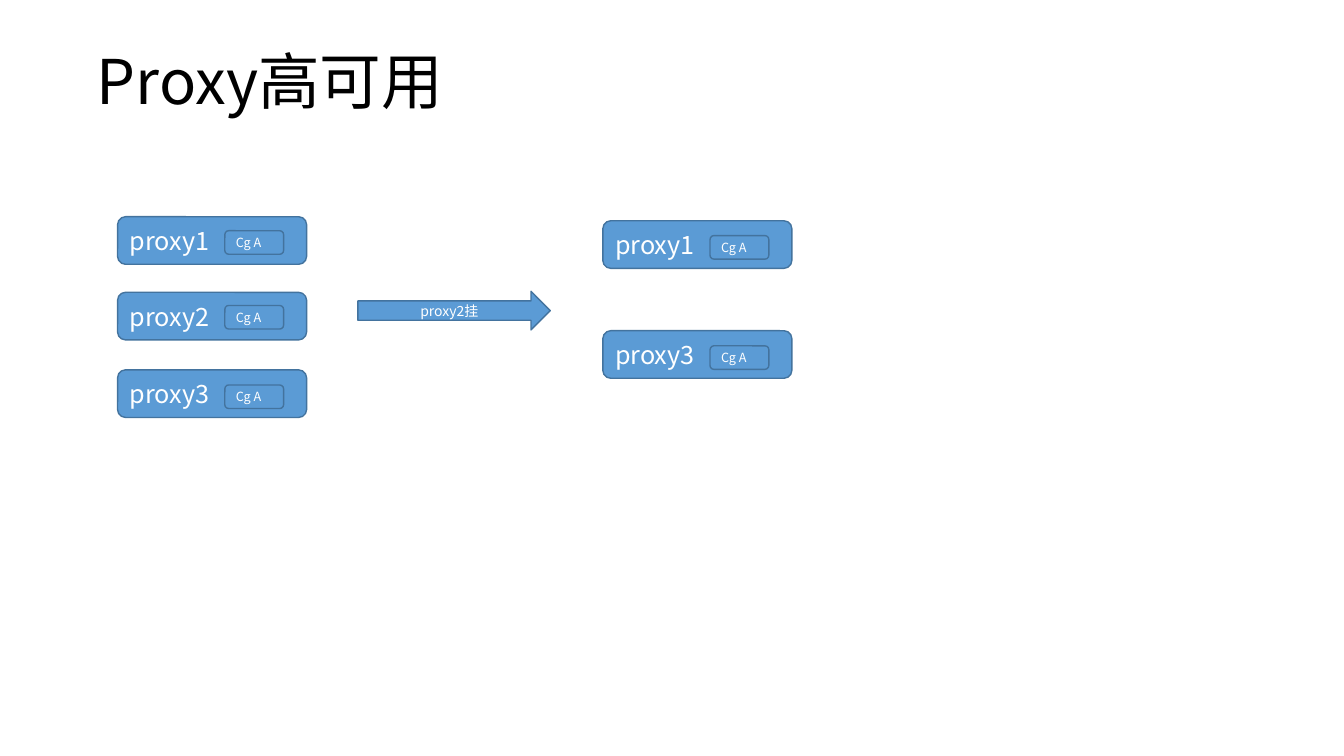
from lxml.etree import SubElement
from pptx import Presentation
from pptx.dml.color import RGBColor
from pptx.enum.shapes import MSO_SHAPE
from pptx.enum.text import MSO_ANCHOR, PP_ALIGN
from pptx.oxml.ns import qn
from pptx.util import Pt

TITLE = "Proxy高可用"
FAILURE = "proxy2挂"
CONSUMER_GROUP = "Cg A"
# Each cluster: left edge, then (proxy, top, consumer group's top inside it)
CLUSTERS = [
    (84, [("proxy1", 154.8, 10), ("proxy2", 208.8, 9.4), ("proxy3", 264.2, 10.8)]),
    (430.6, [("proxy1", 157.7, 10.6), ("proxy3", 236.2, 10.8)]),
]

FONT = "Noto Sans CJK SC"
BLUE, OUTLINE, WHITE, BLACK = "5B9BD5", "43739E", "FFFFFF", "000000"
PROXY_SIZE = (135, 34)
GROUP_SIZE = (42, 16.8)
GROUP_INDENT = 76.6


def color(hex_code):
    """Turn a hex string into a colour."""
    return RGBColor.from_string(hex_code)


def write(shape, text, size, text_color, align=PP_ALIGN.LEFT):
    """Put one formatted, vertically centred paragraph in a shape."""
    frame = shape.text_frame
    frame.text = text
    frame.word_wrap = True
    frame.vertical_anchor = MSO_ANCHOR.MIDDLE
    paragraph = frame.paragraphs[0]
    paragraph.alignment = align
    font = paragraph.runs[0].font
    font.size = Pt(size)
    font.name = FONT
    font.color.rgb = color(text_color)
    SubElement(font._element, qn("a:ea")).set("typeface", FONT)
    return paragraph


def add_block(kind, left, top, size, text, text_size, align=PP_ALIGN.LEFT):
    """Draw a blue outlined shape with white text."""
    block = slide.shapes.add_shape(kind, Pt(left), Pt(top), *map(Pt, size))
    block.shadow.inherit = False
    block.fill.solid()
    block.fill.fore_color.rgb = color(BLUE)
    block.line.color.rgb = color(OUTLINE)
    block.line.width = Pt(1)
    write(block, text, text_size, WHITE, align)


prs = Presentation()
prs.slide_width, prs.slide_height = Pt(960), Pt(540)
slide = prs.slides.add_slide(prs.slide_layouts.get_by_name("Title Only"))

title = slide.shapes.title
title.left, title.top, title.width, title.height = map(Pt, (62, 8, 828, 104.4))
write(title, TITLE, 44, BLACK).line_spacing = 0.9

for left, proxies in CLUSTERS:
    for proxy, top, group_offset in proxies:
        add_block(MSO_SHAPE.ROUNDED_RECTANGLE, left, top, PROXY_SIZE, proxy, 18)
        add_block(MSO_SHAPE.ROUNDED_RECTANGLE, left + GROUP_INDENT,
                  top + group_offset, GROUP_SIZE, CONSUMER_GROUP, 9)

add_block(MSO_SHAPE.RIGHT_ARROW, 255.6, 208.1, (137.5, 27.6), FAILURE, 10,
          PP_ALIGN.CENTER)

prs.save("out.pptx")
